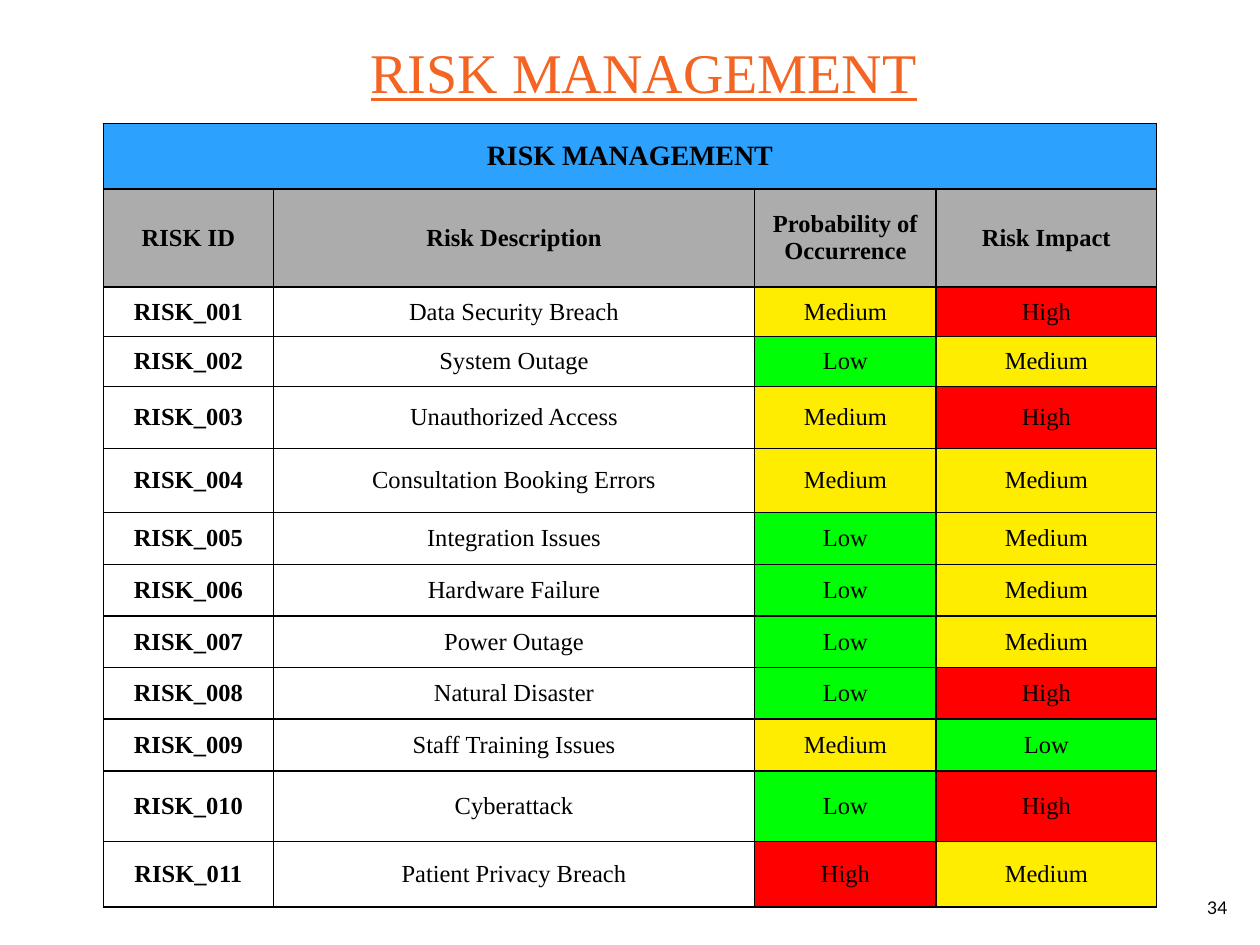
from lxml.etree import SubElement
from pptx import Presentation
from pptx.dml.color import RGBColor
from pptx.enum.text import MSO_ANCHOR as Anchor, PP_ALIGN as Align
from pptx.oxml.ns import qn
from pptx.util import Inches, Pt

SERIF = "Times New Roman"
BLACK = "000000"
LEVEL_FILLS = {"Low": "00FF06", "Medium": "FFED00", "High": "FF0000"}
HEADINGS = ("RISK ID", "Risk Description", "Probability of\vOccurrence", "Risk Impact")
RISKS = [
    ("Data Security Breach", "Medium", "High"),
    ("System Outage", "Low", "Medium"),
    ("Unauthorized Access", "Medium", "High"),
    ("Consultation Booking Errors", "Medium", "Medium"),
    ("Integration Issues", "Low", "Medium"),
    ("Hardware Failure", "Low", "Medium"),
    ("Power Outage", "Low", "Medium"),
    ("Natural Disaster", "Low", "High"),
    ("Staff Training Issues", "Medium", "Low"),
    ("Cyberattack", "Low", "High"),
    ("Patient Privacy Breach", "High", "Medium"),
]
COL_WIDTHS = (1.35, 3.82, 1.44, 1.75)
ROW_HEIGHTS = (0.52, 0.78, 0.39, 0.4, 0.49, 0.51, *[0.41] * 5, 0.56, 0.52)


def rgb(color):
    return RGBColor.from_string(color)


def write(tf, text, size, font=SERIF, color=BLACK, align=Align.CENTER, bold=False, underline=False):
    tf.text = text
    p = tf.paragraphs[0]
    p.alignment = align
    for r in p.runs:
        r.font.name = font
        r.font.size = Pt(size)
        r.font.bold = bold
        r.font.underline = underline
        r.font.color.rgb = rgb(color)


def set_margins(tf, top=0.1):
    tf.margin_left = tf.margin_right = tf.margin_bottom = Inches(0.1)
    tf.margin_top = Inches(top)
    tf.word_wrap = True


def add_title(s, left, top, width, height):
    title = s.shapes.title
    title.left, title.top = Inches(left), Inches(top)
    title.width, title.height = Inches(width), Inches(height)
    tf = title.text_frame
    set_margins(tf, top=0.16)
    tf.vertical_anchor = Anchor.TOP
    write(tf, "RISK MANAGEMENT", 32, color="F46524", underline=True)


def add_page_number(s, left, top, width, height):
    box = s.shapes.add_textbox(Inches(left), Inches(top), Inches(width), Inches(height))
    tf = box.text_frame
    set_margins(tf)
    tf.vertical_anchor = Anchor.MIDDLE
    write(tf, "34", 10, font="Lato", align=Align.RIGHT)


def add_borders(cell):
    tc_pr = cell._tc.get_or_add_tcPr()
    for i, side in enumerate(("lnL", "lnR", "lnT", "lnB")):
        ln = SubElement(tc_pr, qn(f"a:{side}"), w=str(Pt(1)))
        SubElement(SubElement(ln, qn("a:solidFill")), qn("a:srgbClr"), val=BLACK)
        tc_pr.insert(i, ln)


def format_cell(cell, text, size=14, bold=False, fill=None):
    write(cell.text_frame, text, size, bold=bold)
    cell.vertical_anchor = Anchor.MIDDLE
    cell.margin_left = cell.margin_right = Inches(0.02)
    cell.margin_top = cell.margin_bottom = 0
    if fill:
        cell.fill.solid()
        cell.fill.fore_color.rgb = rgb(fill)
    else:
        cell.fill.background()


def add_risk_table(s, left, top, width, height):
    frame = s.shapes.add_table(len(ROW_HEIGHTS), len(COL_WIDTHS), Inches(left), Inches(top),
                               Inches(width), Inches(height))
    table = frame.table
    table.first_row = table.horz_banding = False
    for column, w in zip(table.columns, COL_WIDTHS):
        column.width = Inches(w)
    for row, h in zip(table.rows, ROW_HEIGHTS):
        row.height = Inches(h)

    banner = table.cell(0, 0)
    banner.merge(table.cell(0, len(COL_WIDTHS) - 1))
    format_cell(banner, "RISK MANAGEMENT", size=16, bold=True, fill="2CA1FE")
    for col, heading in enumerate(HEADINGS):
        format_cell(table.cell(1, col), heading, bold=True, fill="ACACAC")
    for number, risk in enumerate(RISKS, 1):
        for col, text in enumerate((f"RISK_{number:03}", *risk)):
            format_cell(table.cell(number + 1, col), text, bold=col == 0, fill=LEVEL_FILLS.get(text))
    for cell in table.iter_cells():
        add_borders(cell)


def main():
    prs = Presentation()
    prs.slide_width, prs.slide_height = Inches(10), Inches(7.5)
    s = prs.slides.add_slide(prs.slide_layouts[5])
    add_title(s, 0.45, 0.14, 9.32, 0.93)
    add_page_number(s, 9.24, 6.92, 0.6, 0.57)
    add_risk_table(s, 0.82, 0.98, 8.36, 6.22)
    prs.save("out.pptx")


if __name__ == "__main__":
    main()
